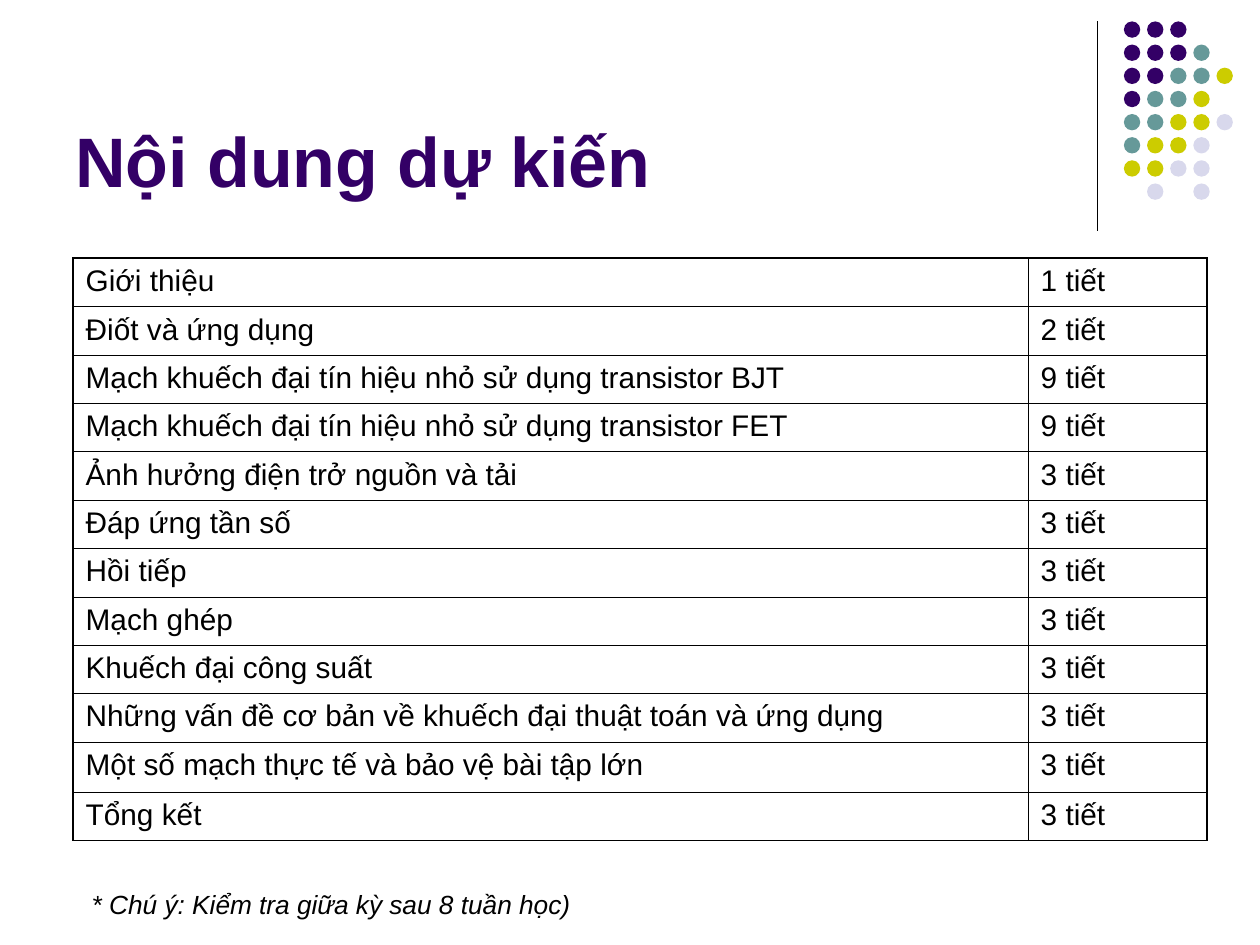
from lxml import etree
from pptx import Presentation
from pptx import util as u
from pptx.dml.color import RGBColor
from pptx.enum import shapes, text
from pptx.oxml.ns import qn

HUES = {"ink": "000000", "P": "330066", "T": "669999", "Y": "CCCC00", "L": "D8D8EC"}
DOTS = ["PPP", "PPPT", "PPTTY", "PTTY", "TTYYL", "TYYL", "YYLL", " L L"]
ROWS = [
    ("Giới thiệu", 1),
    ("Điốt và ứng dụng", 2),
    ("Mạch khuếch đại tín hiệu nhỏ sử dụng transistor BJT", 9),
    ("Mạch khuếch đại tín hiệu nhỏ sử dụng transistor FET", 9),
    ("Ảnh hưởng điện trở nguồn và tải", 3),
    ("Đáp ứng tần số", 3),
    ("Hồi tiếp", 3),
    ("Mạch ghép", 3),
    ("Khuếch đại công suất", 3),
    ("Những vấn đề cơ bản về khuếch đại thuật toán và ứng dụng", 3),
    ("Một số mạch thực tế và bảo vệ bài tập lớn", 3),
    ("Tổng kết", 3),
]


def hue(key):
    """Return the named colour."""
    return RGBColor.from_string(HUES[key])


def inch(*vals):
    """Turn numbers into inch lengths."""
    return [u.Inches(v) for v in vals]


def style(frame, size, key="ink", bold=False, slant=False):
    """Format every run of a text frame."""
    for para in frame.paragraphs:
        for run in para.runs:
            font = run.font
            font.name, font.size = "Arial", u.Pt(size)
            font.bold, font.italic = bold, slant
            font.color.rgb = hue(key)


def label(slide, box, words, size, wrap=True, low=False, **look):
    """Add a text box."""
    frame = slide.shapes.add_textbox(*inch(*box)).text_frame
    frame.word_wrap = wrap
    frame.vertical_anchor = text.MSO_ANCHOR.BOTTOM if low else text.MSO_ANCHOR.TOP
    frame.text = words
    style(frame, size, **look)


def rule(slide, *ends):
    """Draw a thin straight line."""
    line = slide.shapes.add_connector(shapes.MSO_CONNECTOR.STRAIGHT, *inch(*ends))
    line.line.color.rgb = hue("ink")
    line.line.width = u.Pt(0.75)
    etree.SubElement(line._element.spPr, qn("a:effectLst"))


def dots(slide, left, top, step, size):
    """Draw the grid of coloured dots."""
    group = slide.shapes.add_group_shape()
    for row, keys in enumerate(DOTS):
        for col, key in enumerate(keys):
            if key == " ":
                continue
            box = inch(left + col * step, top + row * step, size, size)
            dot = group.shapes.add_shape(shapes.MSO_SHAPE.OVAL, *box)
            dot.shadow.inherit = False
            dot.fill.solid()
            dot.fill.fore_color.rgb = hue(key)
            dot.line.fill.background()


def edge(cell, side, width):
    """Add one border to a cell."""
    props = cell._tc.get_or_add_tcPr()
    line = etree.SubElement(props, qn("a:ln" + side), w=str(u.Pt(width)))
    fill = etree.SubElement(line, qn("a:solidFill"))
    etree.SubElement(fill, qn("a:srgbClr"), val=HUES["ink"])


def grid(slide, left, top, cols, high):
    """Add the table of topics and hours."""
    last = len(ROWS) - 1
    box = inch(left, top, sum(cols), high * len(ROWS))
    table = slide.shapes.add_table(len(ROWS), len(cols), *box).table
    table.first_row = table.horz_banding = False
    for col, wide in zip(table.columns, cols):
        col.width = u.Inches(wide)
    for r, (topic, hours) in enumerate(ROWS):
        table.rows[r].height = u.Inches(0.4 if r == last - 1 else high)
        for c, words in enumerate((topic, f"{hours} tiết")):
            cell = table.cell(r, c)
            cell.text = words
            style(cell.text_frame, 17)
            outer = {"L": c == 0, "R": c == 1, "T": r == 0, "B": False}
            for side, thick in outer.items():
                edge(cell, side, 1.08 if thick else 0.45)
            cell.fill.background()


def main():
    """Build and save the slide."""
    deck = Presentation()
    deck.slide_width, deck.slide_height = inch(10, 7.5)
    slide = deck.slides.add_slide(deck.slide_layouts[6])
    rule(slide, 8.71, 0.17, 8.71, 1.83)
    dots(slide, 8.92, 0.17, 0.18375, 0.13)
    label(slide, (0.5, 0.67, 8.25, 0.98), "Nội dung dự kiến", 40,
          low=True, key="P", bold=True)
    grid(slide, 0.58, 2.05, (7.58, 1.42), 0.3835)
    label(slide, (0.63, 7, 4, 0.35), "* Chú ý: Kiểm tra giữa kỳ sau 8 tuần học)", 15,
          wrap=False, slant=True)
    deck.save("out.pptx")


if __name__ == "__main__":
    main()
